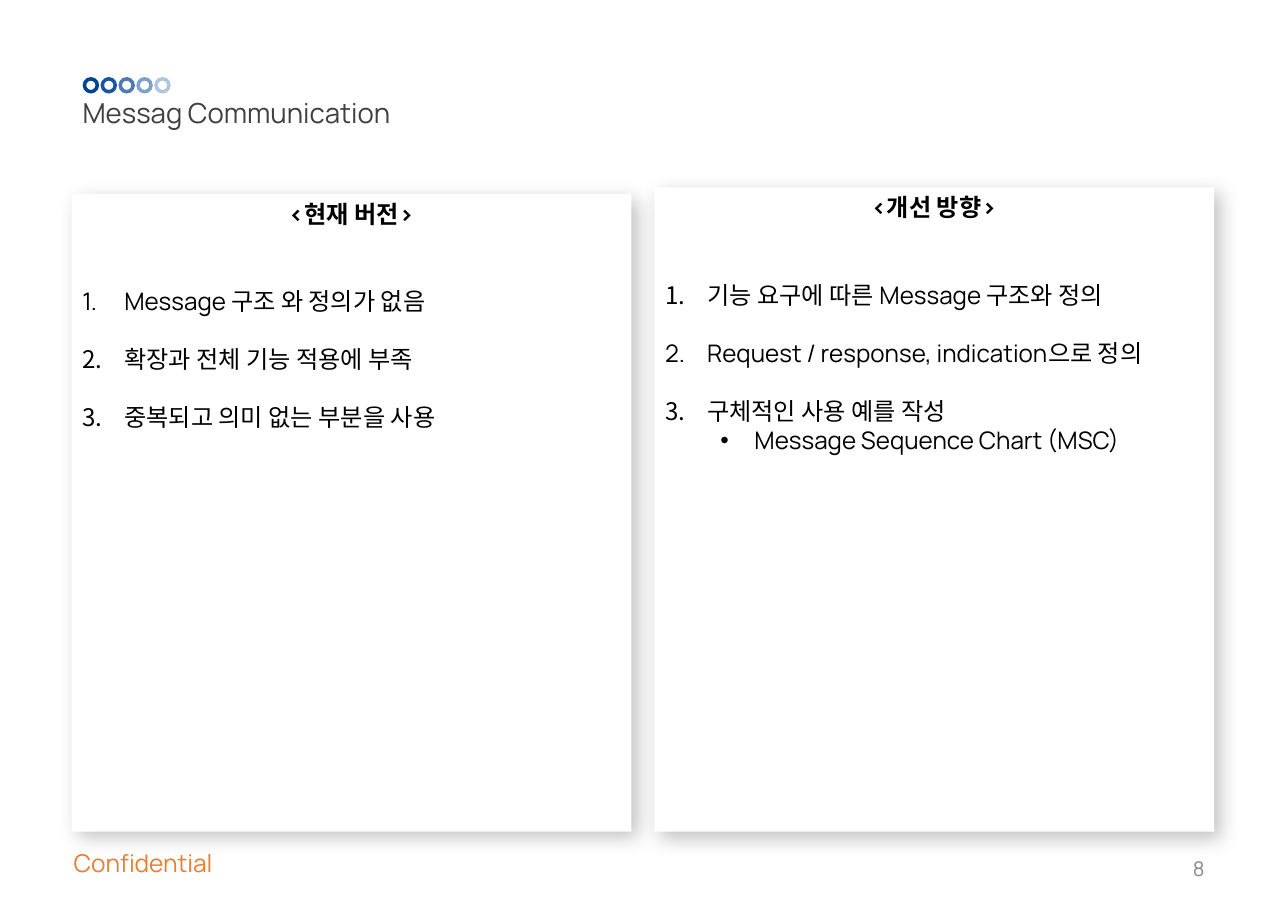
"""Build the slide that compares the current message design with its planned changes."""
import pptx
import pptx.util
import pptx.dml.color
import pptx.enum.shapes
import pptx.enum.text
import pptx.oxml

Pt = pptx.util.Pt
Kind = pptx.enum.shapes.MSO_SHAPE
Align = pptx.enum.text.PP_ALIGN
Anchor = pptx.enum.text.MSO_ANCHOR
NS = 'xmlns:a="http://schemas.openxmlformats.org/drawingml/2006/main"'

theme = {
    "font": "Manrope",
    "ink": {"title": "404040", "body": "000000", "head": "000000", "mark": "ED7D31", "page": "8C8C8C"},
    "size": {"title": 18, "body": 15.8, "head": 15.8, "mark": 16, "page": 13.2},
    "ring": "004294",
    "card": "FFFFFF",
    "line": 19,
}

deck = pptx.Presentation()
deck.slide_width = pptx.util.Inches(11.69)
deck.slide_height = pptx.util.Inches(8.27)
slide = deck.slides.add_slide(deck.slide_layouts[5])
shapes = slide.shapes


def area(left, top, width, height):
    """Turn percentages of the slide into lengths."""
    wide, high = deck.slide_width / 100, deck.slide_height / 100
    return [round(n) for n in (left * wide, top * high, width * wide, height * high)]


def write(para, text, role, **form):
    """Add a styled run and set the paragraph format."""
    run = para.add_run()
    run.text = text
    look = {"name": theme["font"], "size": Pt(theme["size"][role]), "bold": role == "head"}
    for key, value in look.items():
        setattr(run.font, key, value)
    run.font.color.rgb = pptx.dml.color.RGBColor.from_string(theme["ink"][role])
    for key, value in form.items():
        setattr(para, key, value)


title = shapes.title
for key, value in zip(("left", "top", "width", "height"), area(5.56, 9.92, 28.74, 4.84)):
    setattr(title, key, value)
mark = shapes.add_textbox(*area(4.88, 92.5, 13.43, 4.47))
page = shapes.add_textbox(*area(71.86, 92.62, 22.5, 5.32))
labels = [
    (title, "Messag Communication", "title", Align.LEFT),
    (mark, "Confidential", "mark", Align.LEFT),
    (page, "8", "page", Align.RIGHT),
]
for box, text, role, align in labels:
    frame = box.text_frame
    form = {"word_wrap": True, "auto_size": pptx.enum.text.MSO_AUTO_SIZE.NONE, "vertical_anchor": Anchor.MIDDLE}
    for key, value in form.items():
        setattr(frame, key, value)
    write(frame.paragraphs[0], text, role, alignment=align)

for step, alpha in enumerate((100, 90, 70, 50, 30)):
    ring = shapes.add_shape(Kind.DONUT, *area(6.42 + step * 1.39, 8.46, 1.28, 1.81))
    ring.adjustments[0] = 0.22
    ring.shadow.inherit = False
    ring.line.fill.background()
    ring.fill.solid()
    ring.fill.fore_color.rgb = pptx.dml.color.RGBColor.from_string(theme["ring"])
    tint = ring.fill._xPr.find(".//{*}srgbClr")
    tint.append(pptx.oxml.parse_xml(f'<a:alpha {NS} val="{alpha * 1000}"/>'))

shade = (
    f'<a:outerShdw {NS} blurRad="{Pt(13)}" dist="{Pt(6)}" dir="2700000" algn="tl" rotWithShape="0">'
    '<a:srgbClr val="000000"><a:alpha val="23000"/></a:srgbClr></a:outerShdw>'
)
number = [f'<a:buFont {NS} typeface="+mj-lt"/>', f'<a:buAutoNum {NS} type="arabicPeriod"/>']
bullet = [f'<a:buFont {NS} typeface="Arial"/>', f'<a:buChar {NS} char="•"/>']
cards = [
    (5.56, 21.28, 70.01, "<현재 버전>", [
        (0, "Message 구조 와 정의가 없음"),
        (0, "확장과 전체 기능 적용에 부족"),
        (0, "중복되고 의미 없는 부분을 사용"),
    ]),
    (50.81, 20.56, 70.74, "<개선 방향>", [
        (0, "기능 요구에 따른 Message 구조와 정의"),
        (0, "Request / response, indication으로 정의"),
        (0, "구체적인 사용 예를 작성"),
        (1, "Message Sequence Chart (MSC)"),
    ]),
]
for left, top, height, head, items in cards:
    card = shapes.add_shape(Kind.RECTANGLE, *area(left, top, 43.46, height))
    card.shadow.inherit = False
    card.line.fill.background()
    card.fill.solid()
    card.fill.fore_color.rgb = pptx.dml.color.RGBColor.from_string(theme["card"])
    card._element.spPr.find("{*}effectLst").append(pptx.oxml.parse_xml(shade))
    frame = card.text_frame
    frame.word_wrap = True
    frame.vertical_anchor = Anchor.TOP
    line = Pt(theme["line"])
    write(frame.paragraphs[0], head, "head", alignment=Align.CENTER, line_spacing=line)
    for place, (level, text) in enumerate(items):
        para = frame.add_paragraph()
        props = para._p.get_or_add_pPr()
        indent, hang = ((0.38, 0.38), (0.81, 0.31))[level]
        props.set("marL", str(pptx.util.Inches(indent)))
        props.set("indent", str(-pptx.util.Inches(hang)))
        for part in (number, bullet)[level]:
            props.append(pptx.oxml.parse_xml(part))
        gap = 0 if level else 2 if place == 0 else 1
        write(para, text, "body", alignment=Align.LEFT, level=level, line_spacing=line, space_before=line * gap)

deck.save("out.pptx")
